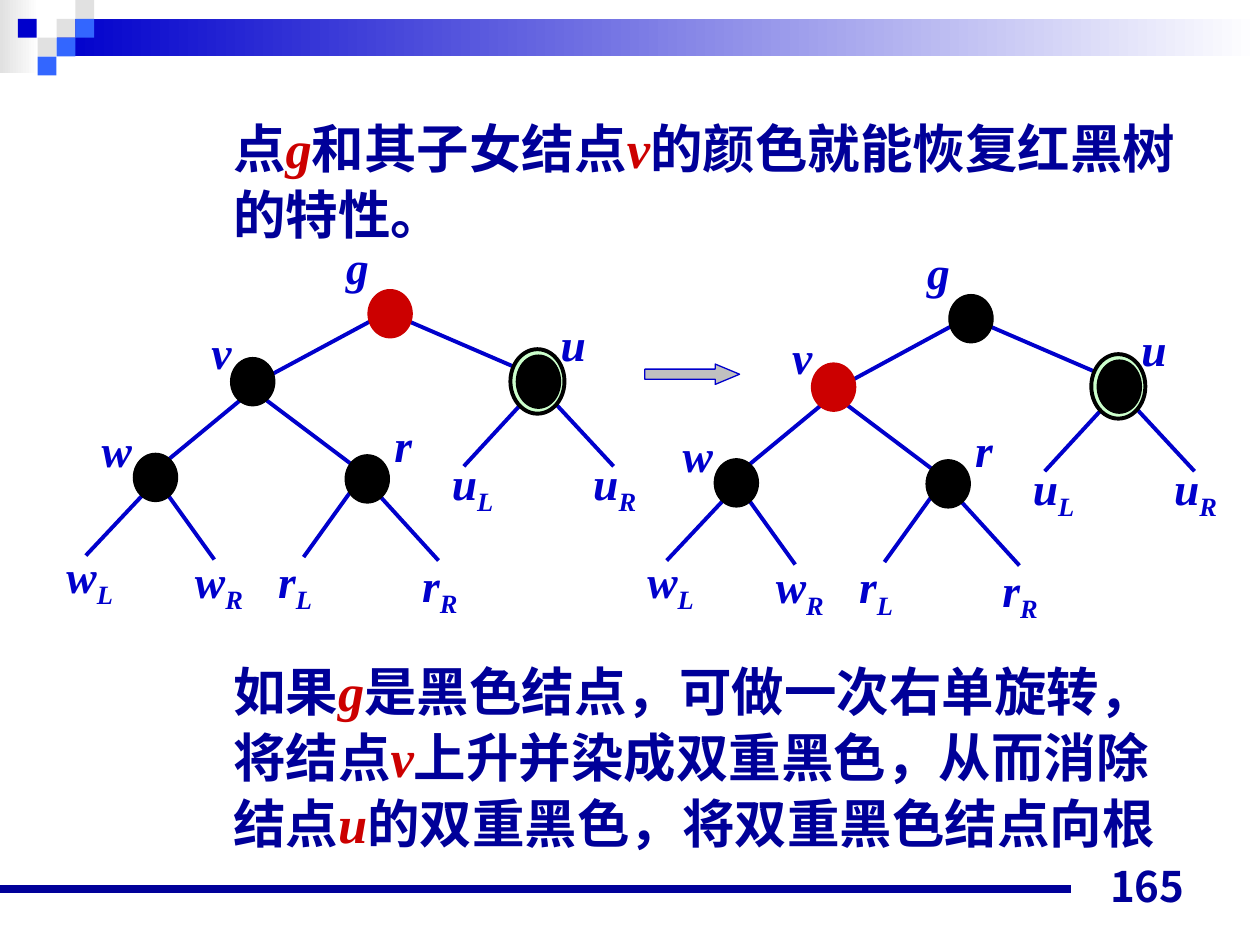
from lxml.etree import SubElement
from pptx import Presentation
from pptx.dml.color import RGBColor
from pptx.enum.shapes import MSO_CONNECTOR, MSO_SHAPE
from pptx.enum.text import MSO_ANCHOR, PP_ALIGN
from pptx.oxml.ns import qn
from pptx.util import Cm, Pt

COLORS = {"navy": "000099", "blue": "0000CC", "sky": "3366FF", "red": "CC0000",
          "black": "000000", "mint": "CCFFCC", "gray": "E1E1E1",
          "silver": "C0C0C0", "white": "FFFFFF"}
LATIN, CJK = "Times New Roman", "Noto Sans CJK JP"

# Content: positions are in inches; * surrounds a node name in the prose
PROSE = [
    (0.85, 1.2, "点*g*和其子女结点*v*的颜色就能恢复红黑树的特性。"),
    (5.16, 1.75, "如果*g*是黑色结点，可做一次右单旋转，将结点*v*上升并染成双重黑色，"
                 "从而消除结点*u*的双重黑色，将双重黑色结点向根"),
]
SQUARES = [(0.45, 0.15, "gray"), (0.6, 0, "gray"), (0.6, 0.15, "sky"),
           (0.3, 0.3, "gray"), (0.14, 0.15, "blue"), (0.45, 0.3, "sky"),
           (0.3, 0.45, "sky")]
NODES = {"g": (2.92, 2.3), "v": (1.83, 2.84), "r": (2.74, 3.61), "w": (1.06, 3.6)}
EDGES = [(3.2, 2.53, 4.15, 2.94), (4.19, 3.15, 3.68, 3.7), (4.36, 3.15, 4.87, 3.7),
         (3, 3.92, 3.48, 4.45), (2.08, 3.15, 2.81, 3.7), (3.03, 2.5, 2.16, 2.97),
         (1.95, 3.14, 1.27, 3.7), (2.79, 3.89, 2.41, 4.42),
         (1.32, 3.91, 1.7, 4.44), (1.17, 3.89, 0.68, 4.41)]
LABELS = [("g", "", 2.65, 1.85), ("v", "", 1.58, 2.52), ("u", "", 4.35, 2.46),
          ("w", "", 0.71, 3.3), ("r", "", 3.03, 3.26),
          ("u", "L", 3.49, 3.56), ("u", "R", 4.61, 3.56),
          ("w", "L", 0.43, 4.3), ("w", "R", 1.45, 4.34),
          ("r", "L", 2.11, 4.34), ("r", "R", 3.25, 4.37)]
TREES = [(0, 0, "g"), (4.61, 0.04, "v")]  # offset and the red node


def inch(*values):
    return [Cm(round(v * 2.54, 2)) for v in values]


def rgb(name):
    return RGBColor.from_string(COLORS[name])


def add_shape(kind, box, fill, line=None, width=0.75):
    sp = s.shapes.add_shape(kind, *inch(*box))
    sp.shadow.inherit = False
    sp.fill.solid()
    sp.fill.fore_color.rgb = rgb(fill)
    if line:
        sp.line.color.rgb = rgb(line)
        sp.line.width = Pt(width)
    else:
        sp.line.fill.background()
    return sp


def add_band(box, left):
    sp = add_shape(MSO_SHAPE.RECTANGLE, box, left)
    sp.fill.gradient()
    sp.fill.gradient_angle = 0
    for stop, color in zip(sp.fill.gradient_stops, (left, "white")):
        stop.color.rgb = rgb(color)


def add_line(points, color, width):
    ln = s.shapes.add_connector(MSO_CONNECTOR.STRAIGHT, *inch(*points))
    ln.line.color.rgb = rgb(color)
    ln.line.width = Pt(width)
    SubElement(ln._element.spPr, qn("a:effectLst"))


def add_text(box):
    tf = s.shapes.add_textbox(*inch(*box)).text_frame
    tf.word_wrap = True
    return tf


def add_run(p, text, size, color, italic=False, font=LATIN):
    r = p.add_run()
    r.text = text
    r.font.name, r.font.size = font, Pt(size)
    r.font.bold, r.font.italic = True, italic
    r.font.color.rgb = rgb(color)
    SubElement(r._r.get_or_add_rPr(), qn("a:ea")).set("typeface", CJK)
    return r


def add_tree(dx, dy, red):
    for x1, y1, x2, y2 in EDGES:
        add_line((x1 + dx, y1 + dy, x2 + dx, y2 + dy), "blue", 2.25)
    for name, (x, y) in NODES.items():
        color = "red" if name == red else "black"
        add_shape(MSO_SHAPE.OVAL, (x + dx, y + dy, 0.35, 0.38), color, color)
    # Double-black node u
    add_shape(MSO_SHAPE.OVAL, (4.05 + dx, 2.77 + dy, 0.43, 0.51), "mint", "black", 2.25)
    add_shape(MSO_SHAPE.OVAL, (4.1 + dx, 2.82 + dy, 0.35, 0.42), "black", "black")
    for name, sub, x, y in LABELS:
        p = add_text((x + dx, y + dy, 0.75, 0.88)).paragraphs[0]
        add_run(p, name, 26, "blue", True)
        if sub:
            r = add_run(p, sub, 26, "blue", True)
            r._r.get_or_add_rPr().set("baseline", "-25000")


prs = Presentation()
prs.slide_width, prs.slide_height = Cm(25.4), Cm(19.05)
s = prs.slides.add_slide(prs.slide_layouts[6])

# Header and footer decoration
add_band((0, 0, 0.31, 0.58), "gray")
add_band((0.45, 0.15, 9.55, 0.3), "blue")
for x, y, color in SQUARES:
    add_shape(MSO_SHAPE.RECTANGLE, (x, y, 0.15, 0.15), color)
add_line((0, 7.06, 8.5, 7.06), "navy", 4.5)

# Prose
for top, height, text in PROSE:
    p = add_text((1.75, top, 7.75, height)).paragraphs[0]
    p.line_spacing = Pt(37.7)
    for i, part in enumerate(text.split("*")):
        is_node = i % 2 == 1
        add_run(p, part, 30, "red" if is_node else "navy", is_node)

# Trees before and after, with the arrow between them
for tree in TREES:
    add_tree(*tree)
arrow = add_shape(MSO_SHAPE.RIGHT_ARROW, (5.12, 2.89, 0.75, 0.16), "silver", "blue")
arrow.adjustments[0], arrow.adjustments[1] = 0.5, 1.2

# Page number
tf = add_text((7.17, 6.78, 2.33, 0.5))
tf.vertical_anchor = MSO_ANCHOR.BOTTOM
tf.paragraphs[0].alignment = PP_ALIGN.RIGHT
add_run(tf.paragraphs[0], "165", 24, "navy", font=CJK)

prs.save("out.pptx")
